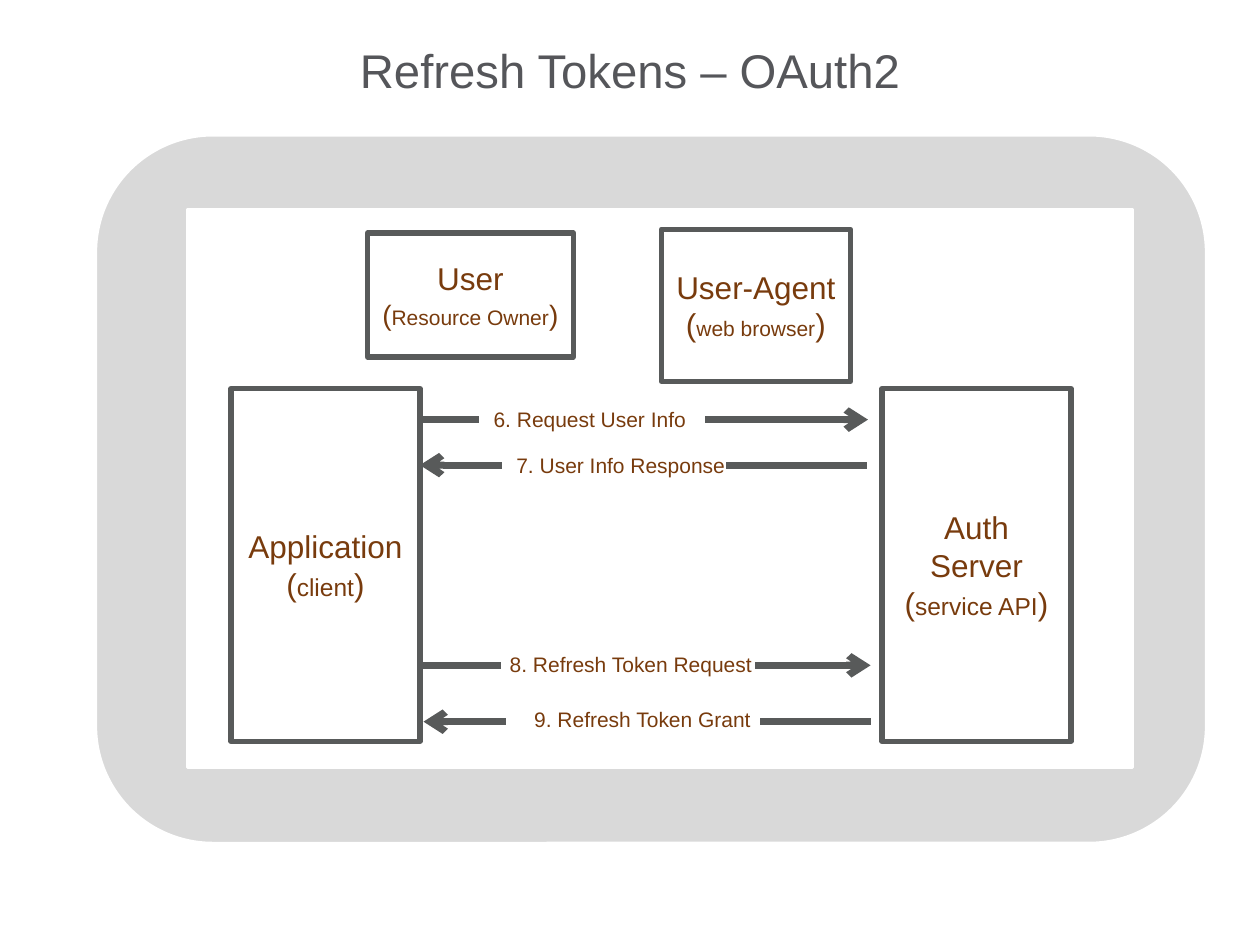
"""Build the OAuth2 refresh token flow slide."""
import dataclasses

import lxml.etree
import pptx
import pptx.dml.color
import pptx.enum.shapes
import pptx.enum.text
import pptx.oxml.ns
import pptx.util

Pt = pptx.util.Pt
Shape = pptx.enum.shapes.MSO_SHAPE
Align = pptx.enum.text.PP_ALIGN
Anchor = pptx.enum.text.MSO_ANCHOR
Fit = pptx.enum.text.MSO_AUTO_SIZE


@dataclasses.dataclass(frozen=True)
class Theme:
    font: str = "Arial"
    title: str = "55565A"
    text: str = "783B0D"
    edge: str = "585A5A"
    frame: str = "D9D9D9"
    white: str = "FFFFFF"
    head: int = 27
    name: int = 18
    step: int = 12


THEME = Theme()


def rgb(code):
    return pptx.dml.color.RGBColor.from_string(code)


def style(run, size, color=THEME.text):
    run.font.name = THEME.font
    run.font.size = Pt(size)
    run.font.color.rgb = rgb(color)


def add_title(slide, text):
    title = slide.shapes.title
    title.left, title.top, title.width, title.height = map(Pt, (36, 21.6, 648, 34.56))
    frame = title.text_frame
    frame.text = text
    frame.auto_size = Fit.NONE
    frame.vertical_anchor = Anchor.BOTTOM
    frame.margin_left = frame.margin_right = frame.margin_top = frame.margin_bottom = 0
    line = frame.paragraphs[0]
    line.alignment = Align.CENTER
    style(line.runs[0], THEME.head, THEME.title)


def add_block(slide, area, fill, edge, width, kind=Shape.RECTANGLE):
    block = slide.shapes.add_shape(kind, *map(Pt, area))
    block.shadow.inherit = False
    block.fill.solid()
    block.fill.fore_color.rgb = rgb(fill)
    block.line.color.rgb = rgb(edge)
    block.line.width = Pt(width)
    return block


def add_role(slide, area, names, note, size, brace=THEME.name):
    frame = add_block(slide, area, THEME.white, THEME.edge, 3).text_frame
    frame.word_wrap = True
    frame.vertical_anchor = Anchor.MIDDLE
    frame.text = "\n".join(names)
    for line in frame.paragraphs:
        style(line.runs[0], THEME.name)
    last = frame.add_paragraph()
    for text, points in (("(", brace), (note, size), (")", brace)):
        run = last.add_run()
        run.text = text
        style(run, points)
    for line in frame.paragraphs:
        line.alignment = Align.CENTER


def add_arrow(slide, start, end, y):
    kind = pptx.enum.shapes.MSO_CONNECTOR.STRAIGHT
    arrow = slide.shapes.add_connector(kind, Pt(start), Pt(y), Pt(end), Pt(y))
    arrow.line.color.rgb = rgb(THEME.edge)
    arrow.line.width = Pt(4)
    qn = pptx.oxml.ns.qn
    edge = arrow.line._get_or_add_ln()
    lxml.etree.SubElement(edge, qn("a:tailEnd"), type="arrow")
    lxml.etree.SubElement(arrow._element.spPr, qn("a:effectLst"))


def add_step(slide, text, ends, y, mask, area):
    add_arrow(slide, *ends, y)
    add_block(slide, mask, THEME.white, THEME.white, 2)
    frame = slide.shapes.add_textbox(*map(Pt, area)).text_frame
    frame.word_wrap = True
    frame.auto_size = Fit.SHAPE_TO_FIT_TEXT
    frame.text = text
    style(frame.paragraphs[0].runs[0], THEME.step)


def main():
    deck = pptx.Presentation()
    deck.slide_width, deck.slide_height = Pt(720), Pt(540)
    slide = deck.slides.add_slide(deck.slide_layouts[5])
    add_title(slide, "Refresh Tokens – OAuth2")

    add_block(slide, (54, 76.5, 636, 406), THEME.frame, THEME.white, 3,
              Shape.ROUNDED_RECTANGLE)
    add_block(slide, (107.2, 120, 540, 318.5), THEME.white, THEME.white, 2)

    roles = (
        ((132, 222, 108, 201.6), ["Application"], "client", 14),
        ((210, 133.2, 117.6, 70.8), ["User"], "Resource Owner", 12, 16),
        ((378, 131, 108, 87), ["User-Agent"], "web browser", 12),
        ((504, 222, 108, 201.6), ["Auth", "Server"], "service API", 14),
    )
    for role in roles:
        add_role(slide, *role)

    steps = (
        ("8. Refresh Token Request", (242, 497.5), 380.2,
         (287.3, 368.6, 143.3, 21), (284.2, 368.6, 156.2, 21.6)),
        ("9. Refresh Token Grant", (497.5, 242), 412.4,
         (290.2, 399.6, 143.3, 23.8), (298.2, 400.3, 156.2, 21.6)),
        ("6. Request User Info", (240, 496), 239.8,
         (275, 227.5, 126.7, 21), (275, 229, 127.4, 21.6)),
        ("7. User Info Response", (495.4, 240), 265.8,
         (288, 255.6, 126, 21), (288, 254.9, 134.6, 21.6)),
    )
    for step in steps:
        add_step(slide, *step)
    deck.save("out.pptx")


if __name__ == "__main__":
    main()
